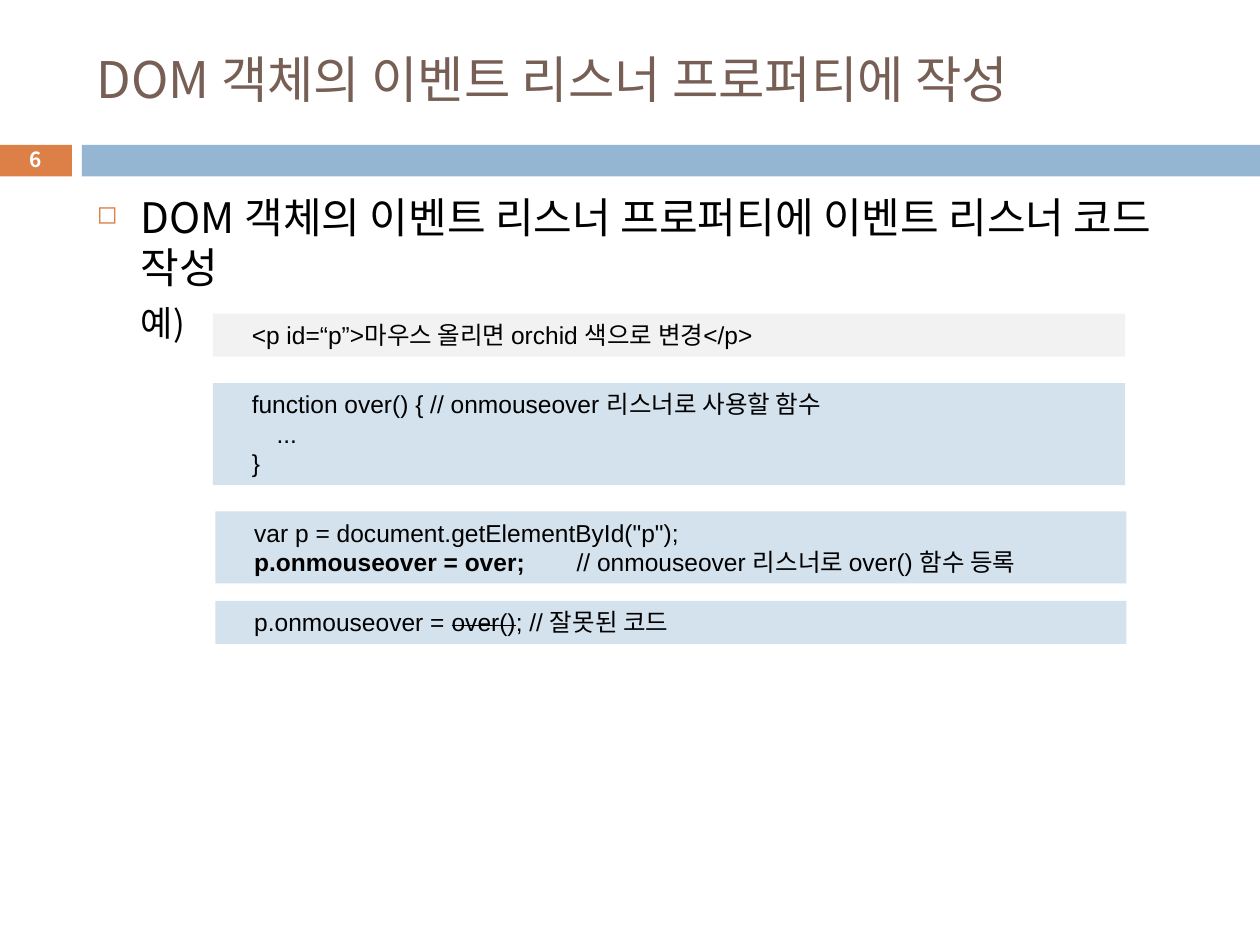
import pptx
import pptx.dml.color
import pptx.enum.shapes
import pptx.enum.text
import pptx.oxml.ns
import pptx.util
from lxml import etree

RGB = pptx.dml.color.RGBColor
BROWN = RGB(0x77, 0x5F, 0x55)
ORANGE = RGB(0xDD, 0x80, 0x47)
BLUE = RGB(0x94, 0xB6, 0xD2)
PALE_BLUE = RGB(0xD4, 0xE2, 0xED)
PALE_GRAY = RGB(0xF2, 0xF2, 0xF2)
WHITE = RGB(0xFF, 0xFF, 0xFF)
BLACK = RGB(0, 0, 0)

KOREAN = "Noto Sans CJK KR"
CODE = "Arial"
COLUMNS, ROWS = 100, 75
ANCHOR = pptx.enum.text.MSO_ANCHOR
ALIGN = pptx.enum.text.PP_ALIGN
FIT = pptx.enum.text.MSO_AUTO_SIZE


def add_xml(parent, tag, **attributes):
    """Append a DrawingML element to parent and return it."""
    return etree.SubElement(parent, pptx.oxml.ns.qn(tag), attributes)


def apply(target, values):
    """Set each format value as an attribute of target."""
    for name, value in values.items():
        setattr(target, name, value)


class Deck:
    """Hold the grid, the style and the current slide."""

    def __init__(self, width, height):
        """Open a deck of the given size in inches with one blank slide."""
        self.deck = pptx.Presentation()
        apply(self.deck, {"slide_width": pptx.util.Inches(width),
                          "slide_height": pptx.util.Inches(height)})
        self.slide = self.deck.slides.add_slide(self.deck.slide_layouts[6])

    def place(self, left, top, width, height):
        """Turn grid columns and rows into slide lengths."""
        column = self.deck.slide_width / COLUMNS
        row = self.deck.slide_height / ROWS
        return [round(n) for n in (left * column, top * row,
                                   width * column, height * row)]

    def bar(self, box, color):
        """Draw a plain filled rectangle."""
        bar = self.slide.shapes.add_shape(
            pptx.enum.shapes.MSO_SHAPE.RECTANGLE, *self.place(*box))
        bar.shadow.inherit = False
        bar.fill.solid()
        bar.fill.fore_color.rgb = color
        bar.line.fill.background()
        return bar

    def text(self, box, anchor=ANCHOR.TOP):
        """Add an empty wrapping text box and return its frame."""
        frame = self.slide.shapes.add_textbox(*self.place(*box)).text_frame
        apply(frame, {"word_wrap": True, "auto_size": FIT.NONE,
                      "vertical_anchor": anchor})
        return frame

    def paragraph(self, frame, runs, font, color=BLACK, indent=0, **layout):
        """Fill the next paragraph with (text, format) runs."""
        first = frame.paragraphs[0]
        paragraph = frame.add_paragraph() if first.runs else first
        apply(paragraph, layout)
        properties = paragraph._p.get_or_add_pPr()
        properties.set("marL", str(pptx.util.Inches(indent)))
        properties.set("indent", "0")
        for words, extra in runs:
            run = paragraph.add_run()
            run.text = words
            values = {**font, **extra}
            strike = values.pop("strike", None)
            apply(run.font, values)
            run.font.color.rgb = color
            run_properties = run._r.get_or_add_rPr()
            if strike:
                run_properties.set("strike", strike)
            add_xml(run_properties, "a:ea", typeface=KOREAN)
        return properties

    def bullet(self, properties, hang, char, color, percent):
        """Give a paragraph a coloured hanging bullet."""
        properties.set("indent", str(-pptx.util.Inches(hang)))
        add_xml(add_xml(properties, "a:buClr"), "a:srgbClr", val=str(color))
        add_xml(properties, "a:buSzPct", val=str(percent * 1000))
        add_xml(properties, "a:buChar", char=char)

    def code(self, box, color, lines):
        """Draw a code panel with one paragraph per line."""
        frame = self.bar(box, color).text_frame
        apply(frame, {"word_wrap": True, "auto_size": FIT.SHAPE_TO_FIT_TEXT,
                      "vertical_anchor": ANCHOR.TOP})
        font = {"name": CODE, "size": pptx.util.Pt(14)}
        for runs in lines:
            properties = self.paragraph(frame, runs, font, indent=0.21,
                                        alignment=ALIGN.LEFT)
            properties.set("defTabSz", str(pptx.util.Mm(5)))


def main():
    """Build the slide and save it."""
    deck = Deck(10, 7.5)
    pt = pptx.util.Pt
    deck.bar((-0.1, 11.5, 5.8, 2.5), ORANGE)
    deck.bar((6.5, 11.5, 93.5, 2.5), BLUE)

    title = deck.text((6.7, 2.5, 89.2, 7.4), ANCHOR.MIDDLE)
    deck.paragraph(title, [("DOM 객체의 이벤트 리스너 프로퍼티에 작성", {})],
                   {"name": KOREAN, "size": pt(28.8)}, BROWN)

    body = deck.text((6.7, 14.7, 89.2, 55.1))
    topic = deck.paragraph(
        body, [("DOM 객체의 이벤트 리스너 프로퍼티에 이벤트 리스너 코드 작성", {})],
        {"name": KOREAN, "size": pt(24)}, indent=0.35, space_before=pt(7))
    deck.bullet(topic, 0.35, "◻", ORANGE, 60)
    deck.paragraph(body, [("예)", {})], {"name": KOREAN, "size": pt(20)},
                   indent=0.35, level=1, space_before=pt(5.5))

    number = deck.text((-0.1, 11.3, 5.8, 2.7), ANCHOR.MIDDLE)
    deck.paragraph(number, [("6", {})],
                   {"name": KOREAN, "size": pt(11.9), "bold": True}, WHITE,
                   alignment=ALIGN.CENTER)

    panels = [
        ((16.9, 24.9, 72.4, 3.4), PALE_GRAY,
         [[("<p id=“p”>마우스 올리면 orchid 색으로 변경</p>", {})]]),
        ((16.9, 30.4, 72.4, 8.1), PALE_BLUE,
         [[("function over() { // onmouseover 리스너로 사용할 함수", {})],
          [("\t...", {})],
          [("}", {})]]),
        ((17.1, 40.6, 72.3, 5.7), PALE_BLUE,
         [[('var p = document.getElementById("p"); ', {})],
          [("p.onmouseover = over; ", {"bold": True}),
           ("\t\t// onmouseover 리스너로 over() 함수 등록", {})]]),
        ((17.1, 47.7, 72.3, 3.4), PALE_BLUE,
         [[("p.onmouseover = ", {}),
           ("over()", {"strike": "sngStrike"}),
           ("; // 잘못된 코드 ", {})]]),
    ]
    for box, color, lines in panels:
        deck.code(box, color, lines)

    deck.deck.save("out.pptx")


main()
